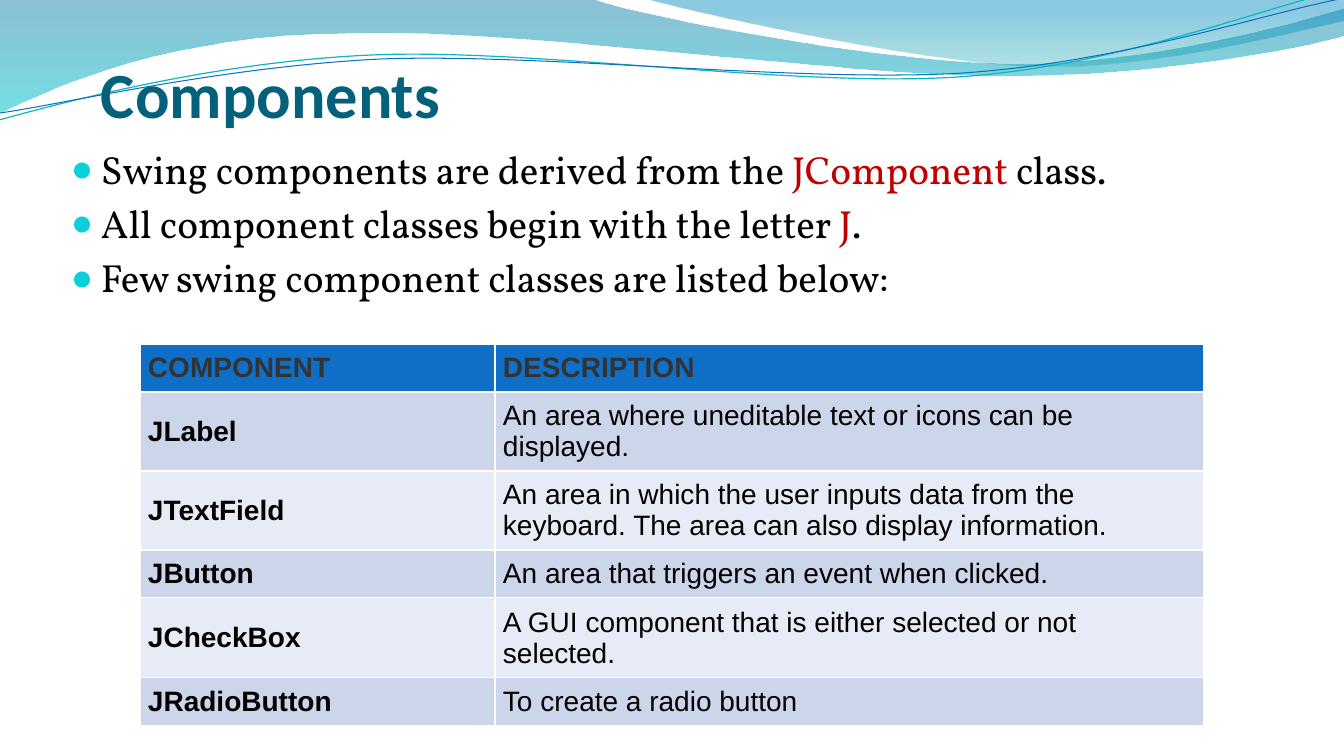
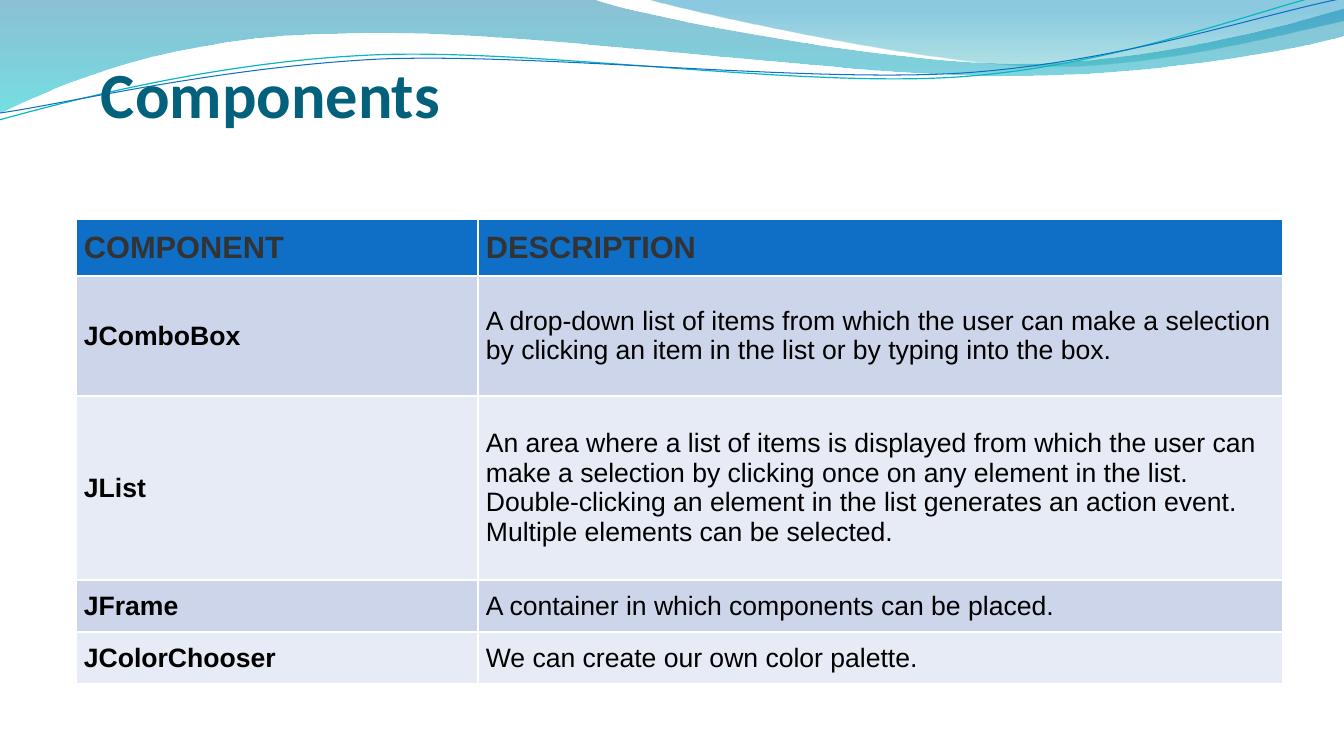
from lxml import etree
from pptx import Presentation
from pptx.dml.color import RGBColor
from pptx.enum.text import MSO_ANCHOR, MSO_AUTO_SIZE, PP_ALIGN
from pptx.oxml.ns import qn
from pptx.util import Pt

# Enum members
LEFT, JUSTIFY = PP_ALIGN.LEFT, PP_ALIGN.JUSTIFY
TOP, MIDDLE, BOTTOM = MSO_ANCHOR.TOP, MSO_ANCHOR.MIDDLE, MSO_ANCHOR.BOTTOM
NO_AUTOFIT = MSO_AUTO_SIZE.NONE

# Colours
BLACK = RGBColor(0x00, 0x00, 0x00)
RED = RGBColor(0xC0, 0x00, 0x00)
TITLE_TEAL = RGBColor(0x04, 0x61, 0x7B)
BULLET_CYAN = RGBColor(0x0B, 0xD0, 0xD9)
HEADER_BLUE = RGBColor(0x0F, 0x6F, 0xC6)
HEADER_TEXT = RGBColor(0x33, 0x33, 0x33)
BAND_DARK = RGBColor(0xCC, 0xD5, 0xEA)
BAND_LIGHT = RGBColor(0xE7, 0xEB, 0xF5)
LINE_TEAL = RGBColor(0x09, 0xB7, 0xBF)
WAVE_BLUE = RGBColor(0x00, 0x74, 0xA1)
WAVE_CYAN = RGBColor(0x00, 0xC6, 0xCF)
CREST_TEAL = RGBColor(0x00, 0xA1, 0xA9)
CREST_BLUE = RGBColor(0x00, 0x8B, 0xBF)

# Fonts and scale
TITLE_FONT, BODY_FONT, TABLE_FONT = "Calibri", "Vollkorn", "Arial"
EMU_PER_PX = 914400 / 100.8
TITLE_ONLY = 5

# Outlines in px: a start, then steps of one point (line) or three (curve)
WAVE = [(0, 0), [(592, -1)],
        [(639, 17), (892, 64), (1019, 64)], [(1145, 64), (1288, 26), (1344, 9)],
        [(1346, 36)],
        [(1321, 44), (1169, 77), (1002, 76)], [(836, 76), (513, 28), (346, 34)],
        [(173, 35), (61, 84), (-1, 114)]]
CREST = [(644, -1),
         [(684, 11), (916, 62), (1033, 66)], [(1150, 70), (1292, 32), (1344, 21)],
         [(1344, 0)]]
TEAL_STRAND = [(-1, 120),
               [(65, 102), (213, 62), (372, 55)], [(531, 48), (796, 88), (958, 77)],
               [(1119, 66), (1262, 8), (1342, -10)]]
BLUE_STRAND = [(0, 113),
               [(64, 104), (220, 67), (381, 59)], [(541, 53), (802, 83), (963, 73)],
               [(1124, 62), (1265, 13), (1345, -2)]]

HEADINGS = ("COMPONENT", "DESCRIPTION")
BASIC_COMPONENTS = [
    HEADINGS,
    ("JLabel", "An area where uneditable text or icons can be displayed."),
    ("JTextField", "An area in which the user inputs data from the keyboard. "
                   "The area can also display information."),
    ("JButton", "An area that triggers an event when clicked."),
    ("JCheckBox", "A GUI component that is either selected or not selected."),
    ("JRadioButton", "To create a radio button"),
]
MORE_COMPONENTS = [
    HEADINGS,
    ("JComboBox", "A drop-down list of items from which the user can make a selection "
                  "by clicking an item in the list or by typing into the box."),
    ("JList", "An area where a list of items is displayed from which the user can make "
              "a selection by clicking once on any element in the list. Double-clicking "
              "an element in the list generates an action event. Multiple elements can "
              "be selected."),
    ("JFrame", "A container in which components can be placed."),
    ("JColorChooser", "We can create our own color palette."),
]


def px(length):
    return round(length * EMU_PER_PX)


def add_xml(parent, tag, **attributes):
    return etree.SubElement(parent, qn(tag), attributes)


def bend(shape, steps):
    """Join the segments of each three-point step into one Bezier curve."""
    segments = iter(list(shape.element.iter(qn("a:lnTo"))))
    for step in steps:
        parts = [next(segments) for _ in step]
        if len(parts) == 3:
            curve = etree.Element(qn("a:cubicBezTo"))
            parts[0].addprevious(curve)
            for part in parts:
                curve.append(part[0])
                part.getparent().remove(part)


def write(paragraph, text, *, font, size, color, bold=False):
    run = paragraph.add_run()
    run.text = text
    run.font.name, run.font.size, run.font.bold = font, Pt(size), bold
    run.font.color.rgb = color


class Deck:
    def __init__(self):
        self.presentation = Presentation()
        self.presentation.slide_width = px(1344)
        self.presentation.slide_height = px(756)
        self.layout = self.presentation.slide_layouts[TITLE_ONLY]
        self.slide = None

    def add_slide(self, title):
        self.slide = self.presentation.slides.add_slide(self.layout)
        shape = self.slide.shapes.title
        self.place(shape, 101, 5, 1025, 126)
        self.format_frame(shape.text_frame, BOTTOM, (0, 5, 0, 0))
        paragraph = shape.text_frame.paragraphs[0]
        paragraph.alignment = LEFT
        write(paragraph, title, font=TITLE_FONT, size=46, color=TITLE_TEAL, bold=True)

    def place(self, shape, left, top, width, height):
        shape.left, shape.top = px(left), px(top)
        shape.width, shape.height = px(width), px(height)

    def format_frame(self, frame, anchor, margins):
        frame.word_wrap, frame.auto_size = True, NO_AUTOFIT
        frame.vertical_anchor = anchor
        (frame.margin_left, frame.margin_top,
         frame.margin_right, frame.margin_bottom) = map(px, margins)

    # Shared band, moved from the current slide to the layout
    def outline(self, outline, layer, closed):
        (left, top), *steps = outline
        builder = self.slide.shapes.build_freeform(px(left), px(top))
        builder.add_line_segments([(px(x), px(y)) for step in steps for x, y in step],
                                  close=closed)
        shape = builder.convert_to_shape()
        bend(shape, steps)
        shape.shadow.inherit = False
        shape.element.find(".//" + qn("p:cNvPr")).set("id", str(100 + layer))
        self.layout.shapes.element.insert(2 + layer, shape.element)
        return shape

    def wave(self, outline, layer, angle, stops):
        shape = self.outline(outline, layer, True)
        shape.line.fill.background()
        shape.fill.gradient()
        shape.fill.gradient_angle = angle
        for stop, (position, color, opacity) in zip(shape.fill.gradient_stops, stops):
            stop.position, stop.color.rgb = position, color
        colors = shape.element.iter(qn("a:srgbClr"))
        for node, (position, color, opacity) in zip(list(colors), stops):
            add_xml(node, "a:alpha", val=str(opacity * 1000))

    def strand(self, outline, layer, color, width):
        shape = self.outline(outline, layer, False)
        shape.fill.background()
        shape.line.color.rgb, shape.line.width = color, Pt(width)

    def band(self):
        self.wave(WAVE, 0, 270, [(0, WAVE_BLUE, 45), (1, WAVE_CYAN, 55)])
        self.wave(CREST, 1, 90, [(0, CREST_TEAL, 30), (0.8, CREST_BLUE, 45)])
        self.strand(TEAL_STRAND, 2, LINE_TEAL, 0.85)
        self.strand(BLUE_STRAND, 3, HEADER_BLUE, 0.75)

    # Bulleted text; each item is a list of (text, colour)
    def bullets(self, left, top, width, height, items):
        frame = self.slide.shapes.add_textbox(*map(px, (left, top, width, height))).text_frame
        self.format_frame(frame, TOP, (10, 5, 10, 5))
        for index, item in enumerate(items):
            paragraph = frame.add_paragraph() if index else frame.paragraphs[0]
            properties = paragraph._p.get_or_add_pPr()
            properties.set("marL", str(px(30)))
            properties.set("indent", str(px(-30)))
            add_xml(add_xml(properties, "a:buClr"), "a:srgbClr", val=str(BULLET_CYAN))
            add_xml(properties, "a:buSzPct", val="95000")
            add_xml(properties, "a:buFont", typeface=TABLE_FONT)
            add_xml(properties, "a:buChar", char="●")
            paragraph.alignment = JUSTIFY
            paragraph.space_before = Pt(5.2 if index else 0)
            for text, color in item:
                write(paragraph, text, font=BODY_FONT, size=28, color=color)

    # Table; the default style supplies the white borders
    def table(self, left, top, columns, heights, rows, header_size, size):
        table = self.slide.shapes.add_table(
            len(rows), len(columns), px(left), px(top),
            px(sum(columns)), px(sum(heights))).table
        for column, width in zip(table.columns, columns):
            column.width = px(width)
        for row_index, (row, height, texts) in enumerate(zip(table.rows, heights, rows)):
            row.height = px(height)
            header = row_index == 0
            fill = HEADER_BLUE if header else BAND_DARK if row_index % 2 else BAND_LIGHT
            for column_index, (cell, text) in enumerate(zip(row.cells, texts)):
                cell.fill.solid()
                cell.fill.fore_color.rgb = fill
                cell.vertical_anchor = MIDDLE
                cell.margin_left = cell.margin_right = px(8)
                cell.margin_top = cell.margin_bottom = px(8)
                write(cell.text_frame.paragraphs[0], text, font=TABLE_FONT,
                      size=header_size if header else size,
                      color=HEADER_TEXT if header else BLACK,
                      bold=header or column_index == 0)


def main():
    deck = Deck()

    # Slide 1: basic components
    deck.add_slide("Components")
    deck.band()
    deck.bullets(61, 140, 1223, 616, [
        [("Swing components are derived from the ", BLACK), ("JComponent", RED),
         (" class.", BLACK)],
        [("All component classes begin with the letter ", BLACK), ("J", RED), (".", BLACK)],
        [("Few swing component classes are listed below:", BLACK)],
    ])
    deck.table(140, 344, (355, 709), (48, 79, 79, 48, 80, 48), BASIC_COMPONENTS, 20, 20)

    # Slide 2: more components
    deck.add_slide("Components")
    deck.table(76, 219, (402, 805), (57, 120, 184, 52, 52), MORE_COMPONENTS, 22, 19)

    deck.presentation.save("out.pptx")


if __name__ == "__main__":
    main()
